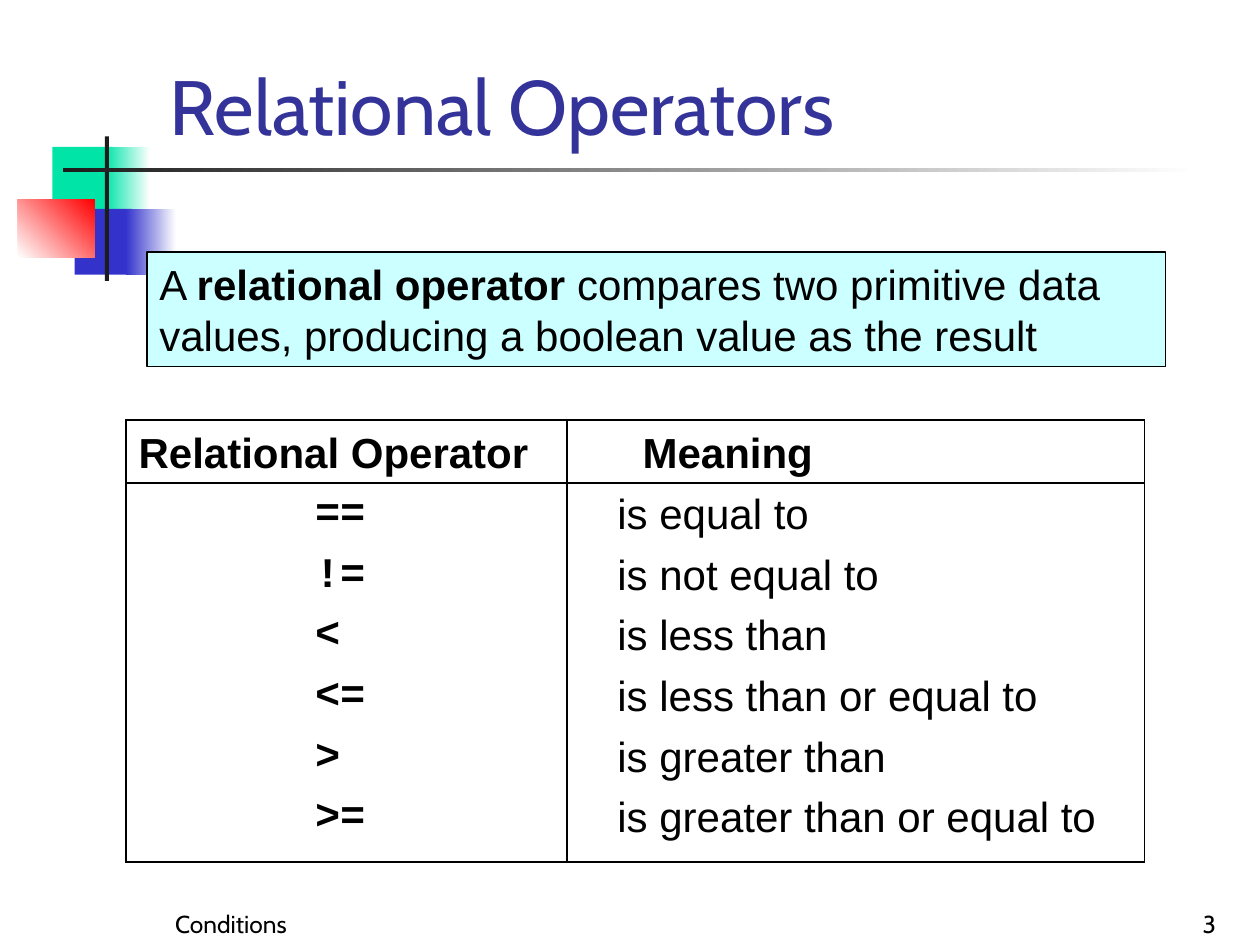
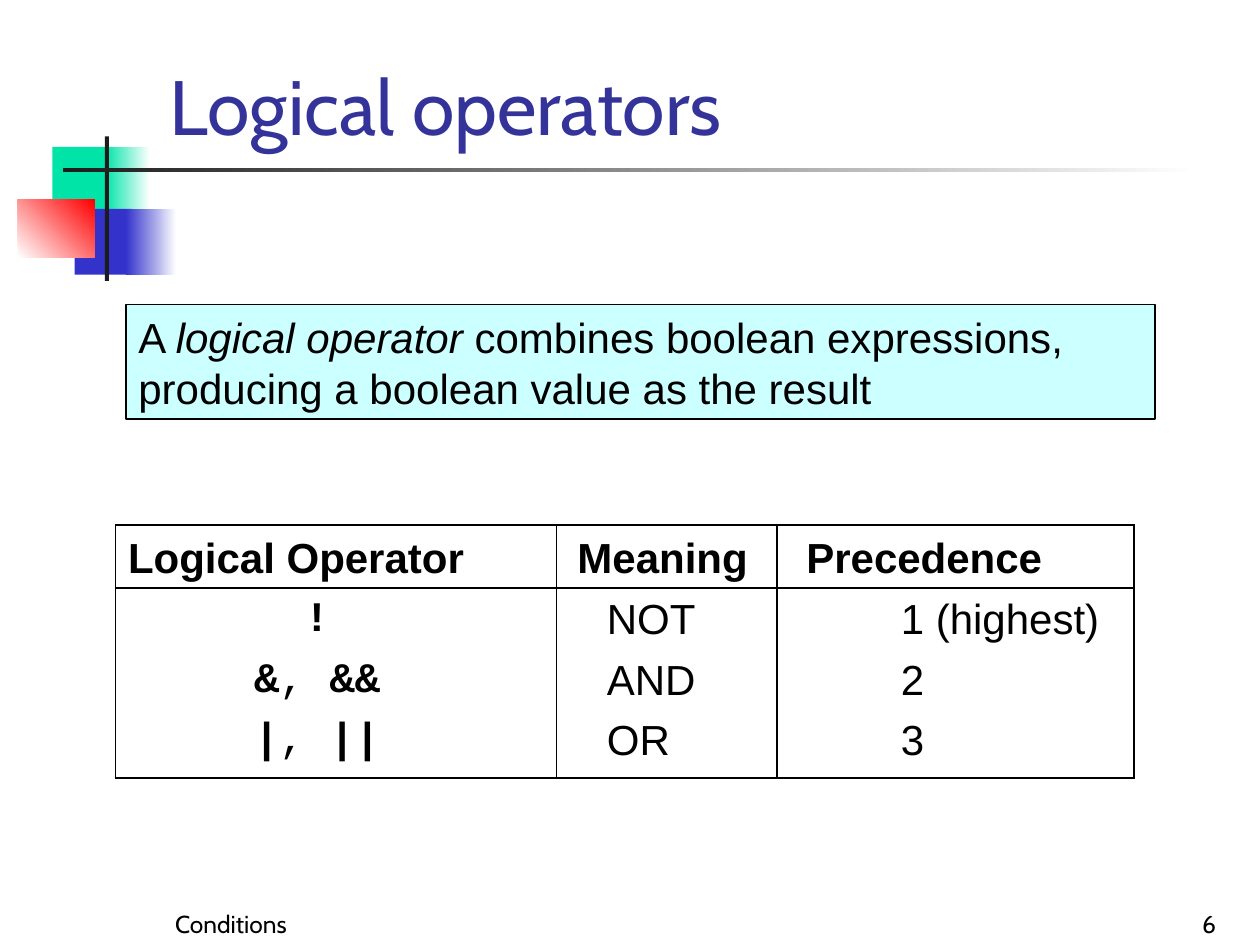
from dataclasses import dataclass

from lxml import etree
from pptx import Presentation, util as u
from pptx.dml.color import RGBColor
from pptx.enum import shapes, text
from pptx.oxml import ns


@dataclass(frozen=True)
class Theme:
    ink: str = "000000"
    paper: str = "FFFFFF"
    heading: str = "333399"
    definition: str = "CCFFFF"
    green: str = "00E4A8"
    blue: str = "3333CC"
    red: str = "FF0000"
    rule: str = "1C1C1C"
    display: str = "Cabin"
    body: str = "Arial"
    code: str = "Courier New"
    title_size: int = 44
    body_size: int = 24
    footer_size: int = 14


theme = Theme()
COLUMNS, ROWS = 120, 90
deck = Presentation()
deck.slide_width, deck.slide_height = u.Inches(10), u.Inches(7.5)
unit = deck.slide_width / COLUMNS


def grid(*cells):
    return [u.Emu(round(cell * unit)) for cell in cells]


def write(paragraph, pieces, face, size, colour=theme.ink, bold=False):
    paragraph.font.name = face
    paragraph.font.size = u.Pt(size)
    paragraph.font.bold = bold
    paragraph.font.color.rgb = RGBColor.from_string(colour)
    for words, style in pieces:
        run = paragraph.add_run()
        run.text = words
        if style:
            setattr(run.font, style, not (style == "bold" and bold))


ornaments = [
    ((5, 14, 5.75, 6.25), [theme.green], 0),
    ((10, 14, 4.3, 6.25), [theme.green, theme.paper], 0),
    ((7.1, 19.9, 5.5, 6.25), [theme.blue], 0),
    ((12, 19.9, 4.8, 6.25), [theme.blue, theme.paper], 0),
    ((1.7, 19, 7.3, 5.5), [theme.paper, theme.red], 45),
    ((10, 13, 0.38, 13.75), [theme.rule], 0),
    ((6, 16, 108, 0.38), [theme.rule, theme.paper], 0),
]

lessons = [
    dict(
        title="Relational Operators",
        number="3",
        definition=[
            ("A ", None),
            ("relational operator", "bold"),
            (" compares two primitive data values, producing a boolean value as the result", None),
        ],
        definition_at=(14, 24, 97, 10.9),
        table_at=(12, 40, 97, 42.1),
        widths=(42, 55),
        border=0.75,
        heads=["Relational Operator", "Meaning"],
        head_indents=[1.2, 7.2],
        body_indents=[18, 4.8],
        entries=[
            ("==", "is equal to"),
            ("!=", "is not equal to"),
            ("<", "is less than"),
            ("<=", "is less than or equal to"),
            (">", "is greater than"),
            (">=", "is greater than or equal to"),
        ],
    ),
    dict(
        title="Logical operators",
        number="6",
        definition=[
            ("A ", None),
            ("logical operator ", "italic"),
            ("combines boolean expressions, producing a boolean value as the result", None),
        ],
        definition_at=(12, 29, 98, 10.9),
        table_at=(11, 50, 97, 24.1),
        widths=(42, 21, 34),
        border=1,
        heads=["Logical Operator", "Meaning", "Precedence"],
        head_indents=[1.2, 2, 2.8],
        body_indents=[18, 4.8, 11.8],
        entries=[
            ("!", "NOT", "1 (highest)"),
            ("&, &&", "AND", "2"),
            ("|, ||", "OR", "3"),
        ],
    ),
]

HEAD_ROW, BODY_ROW = 6, 5.78
HEAD_GAP, BODY_GAP = 1, 0.8
PAIR_INDENT = 13.2

for lesson in lessons:
    slide = deck.slides.add_slide(deck.slide_layouts[6])

    for place, colours, angle in ornaments:
        block = slide.shapes.add_shape(shapes.MSO_SHAPE.RECTANGLE, *grid(*place))
        block.shadow.inherit = False
        block.line.fill.background()
        if len(colours) == 1:
            block.fill.solid()
            block.fill.fore_color.rgb = RGBColor.from_string(colours[0])
        else:
            block.fill.gradient()
            block.fill.gradient_angle = angle
            for position, (stop, colour) in enumerate(zip(block.fill.gradient_stops, colours)):
                stop.position = position
                stop.color.rgb = RGBColor.from_string(colour)

    labels = [
        ("Conditions", (3, 84, 38, 6), text.PP_ALIGN.CENTER, theme.footer_size, theme.ink),
        (lesson["number"], (92, 84, 25, 6), text.PP_ALIGN.RIGHT, theme.footer_size, theme.ink),
        (lesson["title"], (15, 0, 102.2, 15), text.PP_ALIGN.LEFT, theme.title_size, theme.heading),
    ]
    for words, place, alignment, size, colour in labels:
        label = slide.shapes.add_textbox(*grid(*place)).text_frame
        label.word_wrap = True
        label.vertical_anchor = text.MSO_ANCHOR.BOTTOM
        label.paragraphs[0].alignment = alignment
        write(label.paragraphs[0], [(words, None)], theme.display, size, colour)

    definition = slide.shapes.add_shape(
        shapes.MSO_SHAPE.RECTANGLE, *grid(*lesson["definition_at"])
    )
    definition.shadow.inherit = False
    definition.fill.solid()
    definition.fill.fore_color.rgb = RGBColor.from_string(theme.definition)
    definition.line.color.rgb = RGBColor.from_string(theme.ink)
    definition.line.width = u.Pt(0.75)
    definition.text_frame.word_wrap = True
    definition.text_frame.vertical_anchor = text.MSO_ANCHOR.MIDDLE
    sentence = definition.text_frame.paragraphs[0]
    sentence.alignment = text.PP_ALIGN.LEFT
    sentence.line_spacing = u.Pt(29)
    write(sentence, lesson["definition"], theme.body, theme.body_size)

    entries = [lesson["heads"], *lesson["entries"]]
    last = len(entries) - 1
    operators = slide.shapes.add_table(
        len(entries), len(lesson["widths"]), *grid(*lesson["table_at"])
    ).table
    operators.first_row = operators.horz_banding = False
    for column, width in zip(operators.columns, grid(*lesson["widths"])):
        column.width = width
    last_height = lesson["table_at"][3] - HEAD_ROW - BODY_ROW * (last - 1)
    heights = [HEAD_ROW] + [BODY_ROW] * (last - 1) + [last_height]
    for row, height in zip(operators.rows, grid(*heights)):
        row.height = height

    for r, entry in enumerate(entries):
        for c, words in enumerate(entry):
            cell = operators.cell(r, c)
            is_head, is_code = r == 0, r > 0 and c == 0
            indent = lesson["head_indents" if is_head else "body_indents"][c]
            if is_code and ", " in words:
                indent = PAIR_INDENT
            gap = HEAD_GAP if is_head else BODY_GAP
            cell.margin_left, cell.margin_top = grid(indent, gap)
            cell.margin_right = cell.margin_bottom = 0
            cell.vertical_anchor = text.MSO_ANCHOR.TOP
            cell.fill.solid()
            cell.fill.fore_color.rgb = RGBColor.from_string(theme.paper)

            pieces = [(words, None)]
            if is_code and ", " in words:
                single, double = words.split(", ")
                pieces = [(single, None), (", ", "bold"), (double, None)]
            write(
                cell.text_frame.paragraphs[0],
                pieces,
                theme.code if is_code else theme.body,
                theme.body_size,
                bold=is_head or is_code,
            )

            properties = cell._tc.get_or_add_tcPr()
            edges = dict(lnL=True, lnR=True, lnT=r <= 1, lnB=r in (0, last))
            for order, (edge, drawn) in enumerate(edges.items()):
                line = etree.Element(ns.qn(f"a:{edge}"), w=str(u.Pt(lesson["border"])))
                fill = etree.SubElement(line, ns.qn("a:solidFill" if drawn else "a:noFill"))
                if drawn:
                    etree.SubElement(fill, ns.qn("a:srgbClr"), val=theme.ink)
                properties.insert(order, line)

deck.save("out.pptx")
